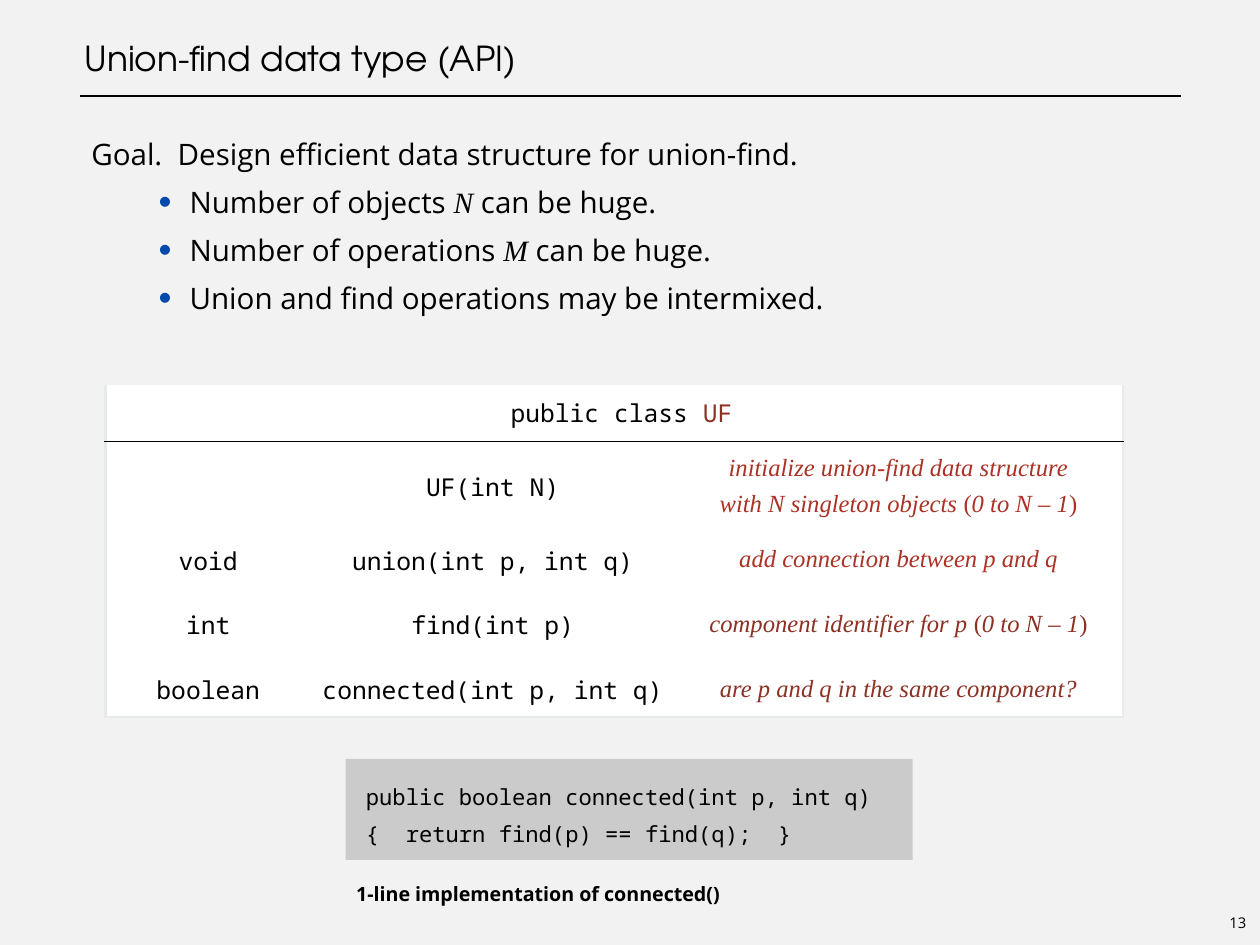
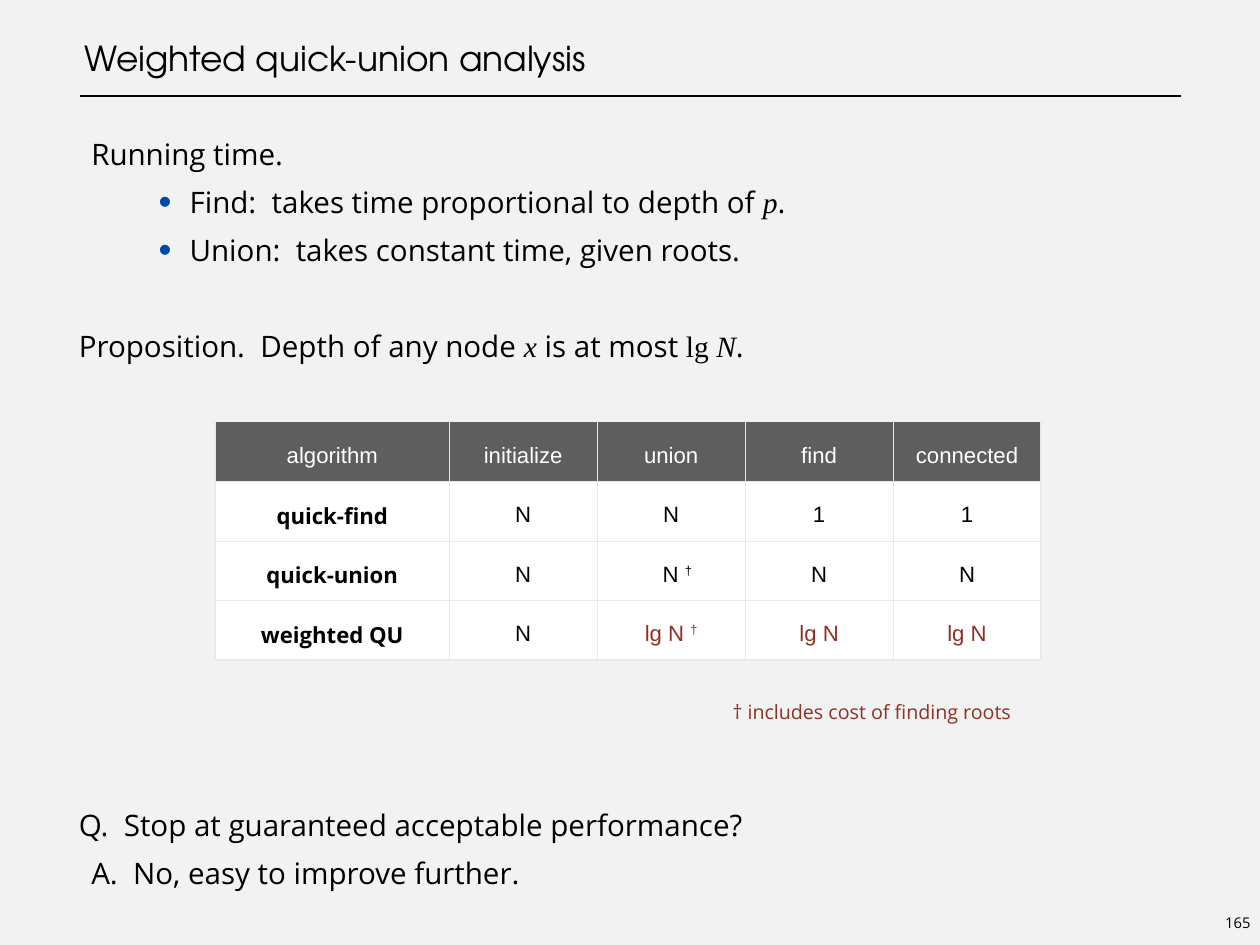
from typing import Any, NamedTuple

from lxml import etree
from pptx import Presentation
from pptx.dml.color import RGBColor
from pptx.enum.shapes import MSO_CONNECTOR, MSO_SHAPE
from pptx.enum.text import MSO_ANCHOR, PP_ALIGN
from pptx.oxml.ns import qn
from pptx.util import Inches, Pt

STRAIGHT, RECTANGLE = MSO_CONNECTOR.STRAIGHT, MSO_SHAPE.RECTANGLE
TOP, MIDDLE, BOTTOM = MSO_ANCHOR.TOP, MSO_ANCHOR.MIDDLE, MSO_ANCHOR.BOTTOM
LEFT, CENTER = PP_ALIGN.LEFT, PP_ALIGN.CENTER
BLACK, WHITE, PAPER = "000000", "FFFFFF", "F2F2F2"
BLUE, RED, BRIGHT_RED = "0048AA", "8D3124", "AB3225"
DARK_GRAY, CODE_GRAY, GRID_GRAY = "5E5E5E", "CBCBCB", "E7EAEB"
SANS, MONO, SERIF = "Open Sans", "Noto Sans Mono", "Times New Roman"
ARIAL, TITLE_FONT = "Arial", "TeX Gyre Adventor"
MARGIN, CONTENT_WIDTH, BODY_TOP, LINE_POINTS = 0.89, 12.44, 1.39, 39
CELL_SIDE_INSET, CELL_VERTICAL_INSET = 0.06, 0.03
PLAIN_TABLE_STYLE = "{2D5ABB26-0587-4C30-8999-92F81FD0307C}"


class Style(NamedTuple):
    font: str
    size: float
    color: str = BLACK
    bold: bool = False


class Span(NamedTuple):
    text: str
    font: str | None = None
    color: str | None = None
    italic: bool = False
    raised: bool = False


class Para(NamedTuple):
    spans: list[Span]
    bullet: bool = False
    left: float = 0
    first: float = 0
    before: float = 0
    spacing: Any = 1.0
    align: Any = LEFT


class Edge(NamedTuple):
    color: str
    points: float


class Cell(NamedTuple):
    spans: list[Span]
    style: Style
    fill: str = WHITE
    spacing: float = 1.3
    extra_left: float = 0
    columns: int = 1


Bounds = tuple[float, float, float, float]
TITLE, BODY, PAGE_NUMBER = Style(TITLE_FONT, 28), Style(SANS, 24), Style(SANS, 12)
CODE, API = Style(MONO, 18), Style(MONO, 20)
CAPTION, FOOTNOTE = Style(SANS, 16, bold=True), Style(SANS, 16, RED)
COST_HEAD, COST_NAME = Style(ARIAL, 18, WHITE), Style(SANS, 18, bold=True)
COST, COST_GOOD = Style(ARIAL, 18), Style(ARIAL, 18, RED)
GRID, FRAME, HEAD_RULE = Edge(GRID_GRAY, 1), Edge(GRID_GRAY, 2), Edge(BLACK, 1)


def rgb(color: str) -> RGBColor:
    return RGBColor.from_string(color)


def math(words: str) -> Span:
    return Span(words, SERIF, italic=True)


def body_line(*spans: Span, first: float = 0.14, before: float = 0) -> Para:
    return Para(list(spans), first=first, before=before, spacing=Pt(LINE_POINTS))


def bullet_line(*spans: Span) -> Para:
    return Para(list(spans), True, left=1.25, first=-0.35, spacing=Pt(LINE_POINTS))


def fill_para(target: Any, para: Para, style: Style) -> None:
    properties = target._p.get_or_add_pPr()
    properties.set("marL", str(Inches(para.left)))
    properties.set("indent", str(Inches(para.first)))
    if para.bullet:
        color = etree.SubElement(properties, qn("a:buClr"))
        etree.SubElement(color, qn("a:srgbClr"), val=BLUE)
        etree.SubElement(properties, qn("a:buSzPct"), val="125000")
        etree.SubElement(properties, qn("a:buFont"), typeface=ARIAL)
        etree.SubElement(properties, qn("a:buChar"), char="•")
    target.alignment = para.align
    target.line_spacing = para.spacing
    target.space_before = Pt(para.before)
    for span in para.spans:
        for index, line in enumerate(span.text.split("\n")):
            if index:
                target.add_line_break()
            run = target.add_run()
            run.text = line
            run.font.name = span.font or style.font
            run.font.size = Pt(style.size)
            run.font.bold = style.bold
            run.font.italic = span.italic
            run.font.color.rgb = rgb(span.color or style.color)
            if span.raised:
                run.font._element.set("baseline", "32000")


def fill_frame(box: Any, paras: list[Para], style: Style, anchor: Any, inset: float) -> None:
    frame = box.text_frame
    frame.word_wrap = True
    frame.vertical_anchor = anchor
    frame.margin_left = frame.margin_right = Inches(inset)
    frame.margin_top = frame.margin_bottom = Inches(inset)
    for index, para in enumerate(paras):
        fill_para(frame.add_paragraph() if index else frame.paragraphs[0], para, style)


def add_text(page: Any, bounds: Bounds, paras: list[Para], style: Style,
             anchor: Any = TOP, inset: float = 0) -> None:
    box = page.shapes.add_textbox(*map(Inches, bounds))
    fill_frame(box, paras, style, anchor, inset)


def add_body(page: Any, paras: list[Para], skipped_lines: int = 0) -> None:
    top = BODY_TOP + skipped_lines * LINE_POINTS / 72
    add_text(page, (MARGIN, top, CONTENT_WIDTH, len(paras) * LINE_POINTS / 72), paras, BODY)


def add_page(deck: Any, title: str, number: str) -> Any:
    """Add a page with its title, title rule and page number."""
    page = deck.slides.add_slide(deck.slide_layouts[6])
    rule = page.shapes.add_connector(STRAIGHT, *map(Inches, (0.9, 1.08, 13.33, 1.08)))
    rule.line.color.rgb = rgb(BLACK)
    rule.line.width = Pt(1.5)
    etree.SubElement(rule._element.spPr, qn("a:effectLst"))
    add_text(page, (MARGIN, 0, CONTENT_WIDTH, 0.89), [Para([Span(title)], left=0.06)], TITLE, BOTTOM)
    add_text(page, (13.72, 10.26, 0.5, 0.31), [Para([Span(number)], align=CENTER)], PAGE_NUMBER, MIDDLE)
    return page


def set_edge(cell: Any, side: str, edge: Edge | None) -> None:
    line = etree.SubElement(cell._tc.get_or_add_tcPr(), qn(f"a:ln{side}"))
    if edge is None:
        etree.SubElement(line, qn("a:noFill"))
        return
    line.set("w", str(Pt(edge.points)))
    fill = etree.SubElement(line, qn("a:solidFill"))
    etree.SubElement(fill, qn("a:srgbClr"), val=edge.color)


def fill_cell(cell: Any, content: Cell) -> None:
    cell.fill.solid()
    cell.fill.fore_color.rgb = rgb(content.fill)
    cell.vertical_anchor = MIDDLE
    cell.margin_left = Inches(CELL_SIDE_INSET + content.extra_left)
    cell.margin_right = Inches(CELL_SIDE_INSET)
    cell.margin_top = cell.margin_bottom = Inches(CELL_VERTICAL_INSET)
    para = Para(content.spans, spacing=content.spacing, align=CENTER)
    fill_para(cell.text_frame.paragraphs[0], para, content.style)


def add_table(page: Any, left: float, top: float, widths: list[float], heights: list[float],
              rows: list[list[Cell]], inner: Edge | None, head: Edge) -> None:
    """Draw a table framed on its left, right and bottom; head lies below row one."""
    bounds = map(Inches, (left, top, sum(widths), sum(heights)))
    table = page.shapes.add_table(len(heights), len(widths), *bounds).table
    table._tbl.tblPr.find(qn("a:tableStyleId")).text = PLAIN_TABLE_STYLE
    table.first_row = table.horz_banding = False
    for column, width in zip(table.columns, widths):
        column.width = Inches(width)
    for row, height in zip(table.rows, heights):
        row.height = Inches(height)
    levels = [None, head] + [inner] * (len(heights) - 2) + [FRAME]
    for r, row in enumerate(rows):
        for c, content in enumerate(row):
            end = c + content.columns - 1
            if end > c:
                table.cell(r, c).merge(table.cell(r, end))
            right = FRAME if end == len(widths) - 1 else inner
            edges = {"L": inner if c else FRAME, "R": right, "T": levels[r], "B": levels[r + 1]}
            for part in range(c, end + 1):
                for side, edge in edges.items():
                    set_edge(table.cell(r, part), side, edge)
            fill_cell(table.cell(r, c), content)


def api_row(result: str, call: str, meaning: str, color: str, has_range: bool = False) -> list[Cell]:
    notes = [Span(meaning, SERIF, color, True)]
    if has_range:
        notes += [Span(words, SERIF, color, italic)
                  for words, italic in (("(", False), ("0 to N – 1", True), (")", False))]
    return [Cell([Span(result)], API), Cell([Span(call)], API), Cell(notes, API)]


def add_api_page(deck: Any) -> None:
    page = add_page(deck, "Union-find data type (API)", "13")
    add_body(page, [
        body_line(Span("Goal.  Design efficient data structure for union-find.")),
        bullet_line(Span("Number of objects "), math("N"), Span(" can be huge.")),
        bullet_line(Span("Number of operations "), math("M"), Span(" can be huge.")),
        bullet_line(Span("Union and find operations may be intermixed.")),
    ])
    header = [Span("public class "), Span("UF", color=RED)]
    purpose = "initialize union-find data structure\nwith N singleton objects "
    add_table(page, 1.19, 4.35, [2.32, 4.1, 5.06], [0.63, 0.89] + [0.73] * 3, [
        [Cell(header, API, spacing=1.0, extra_left=0.17, columns=3)],
        api_row("", "UF(int N)", purpose, BRIGHT_RED, True),
        api_row("void", "union(int p, int q)", "add connection between p and q", BRIGHT_RED),
        api_row("int", "find(int p)", "component identifier for p ", RED, True),
        api_row("boolean", "connected(int p, int q)", "are p and q in the same component?", RED),
    ], None, HEAD_RULE)
    code = page.shapes.add_shape(RECTANGLE, *map(Inches, (3.9, 8.57, 6.4, 1.14)))
    code.shadow.inherit = False
    code.fill.solid()
    code.fill.fore_color.rgb = rgb(CODE_GRAY)
    code.line.fill.background()
    code_lines = ["public boolean connected(int p, int q)", "{  return find(p) == find(q);  }"]
    fill_frame(code, [Para([Span(line)], left=0.01, spacing=1.4) for line in code_lines],
               CODE, MIDDLE, 0.22)
    caption = Para([Span("1-line implementation of connected()")], left=0.06, spacing=1.5)
    add_text(page, (3.9, 9.76, 6.4, 0.36), [caption], CAPTION, inset=0.06)


def cost_row(name: str, costs: list[str], good: bool = False) -> list[Cell]:
    """Build one algorithm's row; a closing dagger in a cost is raised."""
    row = [Cell([Span(name)], COST_NAME)]
    for position, cost in enumerate(costs):
        spans = [Span(cost.removesuffix("†"))]
        if cost.endswith("†"):
            spans.append(Span("†", raised=True))
        style = COST_GOOD if good and position else COST
        row.append(Cell(spans, style, extra_left=0.14 if cost == "N †" else 0))
    return row


def add_analysis_page(deck: Any) -> None:
    page = add_page(deck, "Weighted quick-union analysis", "165")
    add_body(page, [
        body_line(Span("Running time.")),
        bullet_line(Span("Find:  takes time proportional to depth of "), math("p"), Span(".")),
        bullet_line(Span("Union:  takes constant time, given roots.")),
        body_line(Span("Proposition.  Depth of any node "), math("x"), Span(" is at most "),
                  Span("lg ", SERIF), math("N"), Span("."), first=0, before=LINE_POINTS),
    ])
    add_body(page, [
        body_line(Span("Q.  Stop at guaranteed acceptable performance?"), first=0),
        body_line(Span("A.  No, easy to improve further.")),
    ], skipped_lines=14)
    headings = ["algorithm", "initialize", "union", "find", "connected"]
    add_table(page, 2.43, 4.77, [2.64] + [1.67] * 4, [0.67] * 4, [
        [Cell([Span(heading)], COST_HEAD, DARK_GRAY) for heading in headings],
        cost_row("quick-find", ["N", "N", "1", "1"]),
        cost_row("quick-union", ["N", "N †", "N", "N"]),
        cost_row("weighted QU", ["N", "lg N †", "lg N", "lg N"], good=True),
    ], GRID, GRID)
    footnote = Para([Span("† includes cost of finding roots")], left=0.06, spacing=1.5)
    add_text(page, (8.15, 7.71, 3.56, 0.36), [footnote], FOOTNOTE, inset=0.06)


def main() -> None:
    deck = Presentation()
    deck.slide_width, deck.slide_height = Inches(14.22), Inches(10.67)
    background = deck.slide_master.background.fill
    background.solid()
    background.fore_color.rgb = rgb(PAPER)
    add_api_page(deck)
    add_analysis_page(deck)
    deck.save("out.pptx")


if __name__ == "__main__":
    main()
